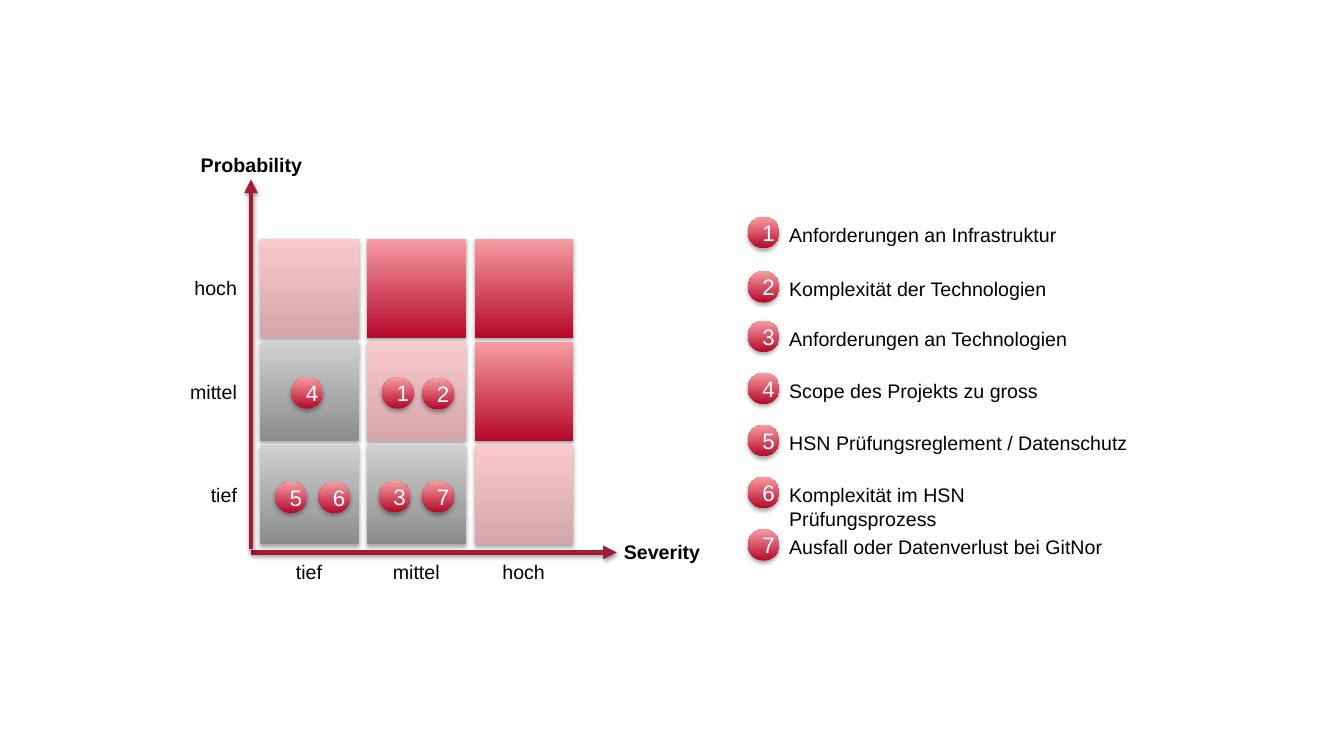
import pptx
import pptx.dml.color
import pptx.enum.shapes
import pptx.enum.text
import pptx.util
from lxml import etree
from pptx.oxml.ns import qn

Pt = pptx.util.Pt
Shape = pptx.enum.shapes.MSO_SHAPE
Align = pptx.enum.text.PP_ALIGN
Anchor = pptx.enum.text.MSO_ANCHOR
AutoSize = pptx.enum.text.MSO_AUTO_SIZE


def color(hex_value):
    return pptx.dml.color.RGBColor.from_string(hex_value)


class RiskSlide:
    FONT = "Arial"
    BLACK, WHITE, AXIS = "000000", "FFFFFF", "A11C36"
    # Each gradient runs from bottom to top
    LOW = ("8C8C8C", "D0D0D0")
    MEDIUM = ("D2A6AA", "F9C9CD")
    HIGH = ("B5082A", "F79DA3")
    CELL, BADGE, LABEL_HEIGHT = 70.7, 22.5, 24.2

    def __init__(self, presentation):
        self.slide = presentation.slides.add_slide(presentation.slide_layouts[6])

    def shadow(self, element, opacity, distance):
        effects = etree.SubElement(element._element.spPr, qn("a:effectLst"))
        outer = etree.SubElement(effects, qn("a:outerShdw"), {
            "blurRad": str(Pt(3.1)), "dist": str(Pt(distance)),
            "dir": "5400000", "rotWithShape": "0"})
        tint = etree.SubElement(outer, qn("a:srgbClr"), val=self.BLACK)
        etree.SubElement(tint, qn("a:alpha"), val=str(opacity * 1000))

    def add_text(self, frame, text, align, **font):
        frame.word_wrap = True
        paragraph = frame.paragraphs[0]
        paragraph.alignment = align
        run = paragraph.add_run()
        run.text = text
        ink = font.pop("ink", self.BLACK)
        for key, value in {"name": self.FONT, "size": Pt(14), **font}.items():
            setattr(run.font, key, value)
        run.font.color.rgb = color(ink)

    def label(self, text, left, top, width, align=Align.LEFT, **font):
        box = self.slide.shapes.add_textbox(
            Pt(left), Pt(top), Pt(width), Pt(self.LABEL_HEIGHT))
        self.add_text(box.text_frame, text, align, **font)
        box.text_frame.auto_size = AutoSize.SHAPE_TO_FIT_TEXT

    def block(self, kind, left, top, size, gradient):
        block = self.slide.shapes.add_shape(kind, Pt(left), Pt(top), Pt(size), Pt(size))
        block.fill.gradient()
        block.fill.gradient_angle = 90
        for stop, shade in zip(block.fill.gradient_stops, gradient):
            stop.color.rgb = color(shade)
        block.line.fill.background()
        self.shadow(block, 35, 1.8)
        return block

    def cell(self, left, top, gradient):
        self.block(Shape.RECTANGLE, left, top, self.CELL, gradient)

    def badge(self, number, left, top):
        badge = self.block(Shape.OVAL, left, top, self.BADGE, self.HIGH)
        badge.text_frame.vertical_anchor = Anchor.MIDDLE
        self.add_text(badge.text_frame, str(number), Align.CENTER,
                      size=Pt(16), ink=self.WHITE)

    def axis(self, *ends):
        axis = self.slide.shapes.add_connector(
            pptx.enum.shapes.MSO_CONNECTOR.STRAIGHT, *map(Pt, ends))
        axis.line.color.rgb = color(self.AXIS)
        axis.line.width = Pt(3.25)
        line = axis._element.spPr.find(qn("a:ln"))
        etree.SubElement(line, qn("a:tailEnd"), type="triangle")
        self.shadow(axis, 38, 1.6)


def main():
    presentation = pptx.Presentation()
    presentation.slide_width, presentation.slide_height = Pt(960), Pt(540)
    risk = RiskSlide(presentation)

    # Axes
    risk.axis(179.3, 394.6, 440.6, 394.6)
    risk.axis(179.3, 392.4, 179.3, 128.2)
    risk.label("Probability", 114.5, 105.8, 130.3, Align.CENTER, bold=True)
    risk.label("Severity", 438.5, 382.3, 130.3, bold=True)

    # Matrix, from the top row down
    levels = ("tief", "mittel", "hoch")
    ratings = ((risk.MEDIUM, risk.HIGH, risk.HIGH),
               (risk.LOW, risk.MEDIUM, risk.HIGH),
               (risk.LOW, risk.LOW, risk.MEDIUM))
    column_lefts = [185.6 + 76.7 * column for column in range(3)]
    row_tops = [170.5 + 73.8 * row for row in range(3)]
    for top, level, row_ratings in zip(row_tops, reversed(levels), ratings):
        for left, rating in zip(column_lefts, row_ratings):
            risk.cell(left, top, rating)
        risk.label(level, 128.2, top + 23.2, 48.2, Align.RIGHT)
    for left, level in zip(column_lefts, levels):
        risk.label(level, left + 11, 396.7, 48.2, Align.CENTER)

    # Risks placed in the matrix
    placements = ((4, 208.1, 269.4), (1, 272.9, 269.4), (2, 301.7, 270),
                  (5, 196.6, 344), (6, 227.5, 344),
                  (3, 270.7, 343.5), (7, 301.7, 343.5))
    for number, left, top in placements:
        risk.badge(number, left, top)

    # Legend: name, top, text width
    legend = (("Anforderungen an Infrastruktur", 154.8, 249),
              ("Komplexität der Technologien", 193.7, 249),
              ("Anforderungen an Technologien", 229, 249),
              ("Scope des Projekts zu gross", 266.2, 249),
              ("HSN Prüfungsreglement / Datenschutz", 303.4, 265.7),
              ("Komplexität im HSN Prüfungsprozess", 340.6, 245),
              ("Ausfall oder Datenverlust bei GitNor", 378, 249))
    for number, (name, top, width) in enumerate(legend, 1):
        risk.badge(number, 534.2, top)
        risk.label(name, 556.6, top + 0.9, width)

    presentation.save("out.pptx")


if __name__ == "__main__":
    main()
